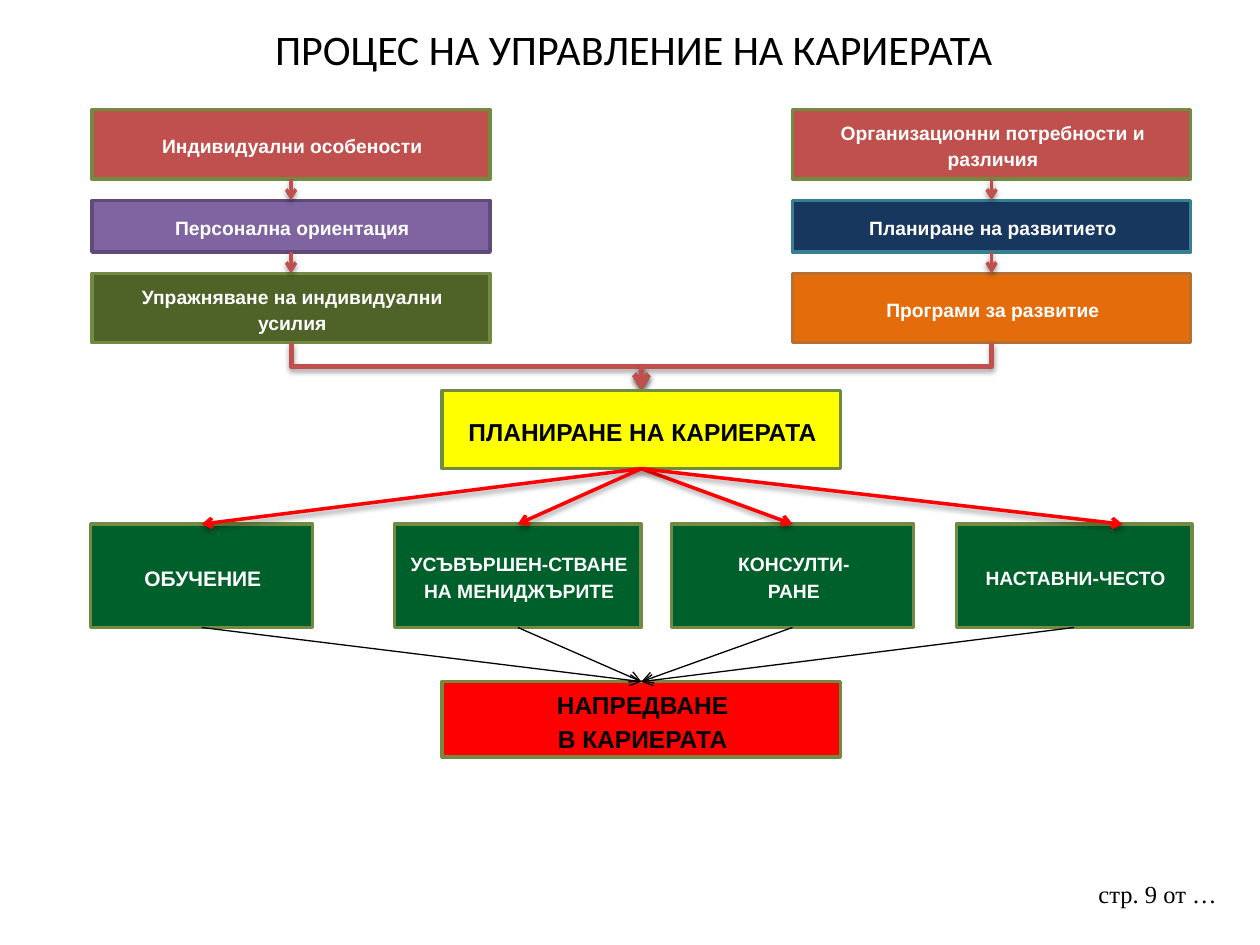
from lxml import etree
from pptx import Presentation
from pptx import util as u
from pptx.dml.color import RGBColor
from pptx.enum import shapes, text
from pptx.oxml import ns

WHITE = RGBColor(0xFF, 0xFF, 0xFF)
BLACK = RGBColor(0x00, 0x00, 0x00)
BRICK = RGBColor(0xC0, 0x50, 0x4D)
PURPLE = RGBColor(0x80, 0x64, 0xA2)
PURPLE_EDGE = RGBColor(0x5F, 0x4A, 0x78)
OLIVE = RGBColor(0x4F, 0x62, 0x28)
OLIVE_EDGE = RGBColor(0x73, 0x8A, 0x42)
NAVY = RGBColor(0x17, 0x37, 0x5E)
TEAL_EDGE = RGBColor(0x37, 0x7F, 0x92)
ORANGE = RGBColor(0xE4, 0x6C, 0x0A)
ORANGE_EDGE = RGBColor(0xB7, 0x6F, 0x34)
GREEN = RGBColor(0x00, 0x60, 0x2B)
YELLOW = RGBColor(0xFF, 0xFF, 0x00)
RED = RGBColor(0xFF, 0x00, 0x00)

TITLE = "ПРОЦЕС НА УПРАВЛЕНИЕ НА КАРИЕРАТА"
PAGE_LABEL = "стр. 9 от …"
INDIVIDUAL = [
    ("Индивидуални особености", BRICK, OLIVE_EDGE),
    ("Персонална ориентация", PURPLE, PURPLE_EDGE),
    ("Упражняване на индивидуални усилия", OLIVE, OLIVE_EDGE),
]
ORGANIZATION = [
    ("Организационни потребности и различия", BRICK, OLIVE_EDGE),
    ("Планиране на развитието", NAVY, TEAL_EDGE),
    ("Програми за развитие", ORANGE, ORANGE_EDGE),
]
PLANNING = "ПЛАНИРАНЕ НА КАРИЕРАТА"
ADVANCEMENT = "НАПРЕДВАНЕ\nВ КАРИЕРАТА"
METHODS = [
    ("ОБУЧЕНИЕ", 0.72, 1.76, 12, 1.60),
    ("УСЪВЪРШЕН-СТВАНЕ НА МЕНИДЖЪРИТЕ", 3.13, 1.96, 11, 4.11),
    ("КОНСУЛТИ-\nРАНЕ", 5.33, 1.92, 11, 6.29),
    ("НАСТАВНИ-ЧЕСТО", 7.59, 1.87, 11, 8.91),
]

COLUMN_LEFT, COLUMN_PITCH, COLUMN_WIDTH = 0.73, 2.78, 3.16
STEP_TOP, STEP_HEIGHTS, STEP_GAP = 0.87, (0.55, 0.41, 0.55), 0.17
PLANNING_TOP, PLANNING_HEIGHT = 3.1, 0.62
METHOD_TOP, METHOD_HEIGHT = 4.16, 0.82
ADVANCEMENT_TOP, ADVANCEMENT_HEIGHT = 5.41, 0.6


def column_left(column):
    return COLUMN_LEFT + column * COLUMN_PITCH


def column_center(column):
    return column_left(column) + COLUMN_WIDTH / 2


def write_text(frame, content, size, font, color, alignment, spacing=None):
    frame.word_wrap = True
    for index, line in enumerate(content.split("\n")):
        paragraph = frame.add_paragraph() if index else frame.paragraphs[0]
        paragraph.alignment = alignment
        paragraph.line_spacing = spacing
        run = paragraph.add_run()
        run.text = line
        run.font.size = u.Pt(size)
        run.font.name = font
        run.font.color.rgb = color
        run.font.bold = font == "Arial"


def add_box(group, content, left, top, width, height, fill, edge, size=11, color=WHITE):
    shape = group.shapes.add_shape(
        shapes.MSO_SHAPE.RECTANGLE, *map(u.Inches, (left, top, width, height)))
    shape.shadow.inherit = False
    shape.fill.solid()
    shape.fill.fore_color.rgb = fill
    shape.line.color.rgb = edge
    shape.line.width = u.Pt(2)
    frame = shape.text_frame
    frame.vertical_anchor = text.MSO_ANCHOR.MIDDLE
    frame.margin_left = u.Inches(0.12)
    write_text(frame, content, size, "Arial", color, text.PP_ALIGN.CENTER, 1.15)


def add_arrow(group, start, end, color, width, shadow=True, bent=False):
    kind = shapes.MSO_CONNECTOR.ELBOW if bent else shapes.MSO_CONNECTOR.STRAIGHT
    connector = group.shapes.add_connector(kind, *map(u.Inches, start + end))
    connector.line.color.rgb = color
    connector.line.width = u.Pt(width)
    if bent:
        across, down = connector.width, connector.height
        connector.left += (across - down) // 2
        connector.top += (down - across) // 2
        connector.width, connector.height = down, across
        rightward = end[0] > start[0]
        transform = connector._element.spPr.find(ns.qn("a:xfrm"))
        transform.set("rot", str((270 if rightward else 90) * 60000))
        transform.set("flipH", str(int(rightward)))
    properties = connector._element.spPr
    tail = etree.SubElement(properties.find(ns.qn("a:ln")), ns.qn("a:tailEnd"))
    tail.set("type", "arrow")
    effects = etree.SubElement(properties, ns.qn("a:effectLst"))
    if shadow:
        outer = etree.SubElement(effects, ns.qn("a:outerShdw"), blurRad="40000",
                                 dist="20000", dir="5400000", rotWithShape="0")
        black = etree.SubElement(outer, ns.qn("a:srgbClr"), val="000000")
        etree.SubElement(black, ns.qn("a:alpha"), val="38000")


def add_steps(group, steps, column):
    top = STEP_TOP
    center = column_center(column)
    for index, ((content, fill, edge), height) in enumerate(zip(steps, STEP_HEIGHTS)):
        add_box(group, content, column_left(column), top, COLUMN_WIDTH, height, fill, edge)
        if index:
            add_arrow(group, (center, top - STEP_GAP), (center, top), BRICK, 2)
        top += height + STEP_GAP
    add_arrow(group, (center, top - STEP_GAP), (column_center(1), PLANNING_TOP),
              BRICK, 3, bent=True)


def main():
    presentation = Presentation()
    presentation.slide_width, presentation.slide_height = u.Inches(10), u.Inches(7.5)
    slide = presentation.slides.add_slide(presentation.slide_layouts[5])

    title = slide.shapes.title
    title.left, title.top, title.width, title.height = map(u.Inches, (0.53, 0.13, 9, 0.52))
    title.text_frame.vertical_anchor = text.MSO_ANCHOR.MIDDLE
    write_text(title.text_frame, TITLE, 24, "Calibri", BLACK, text.PP_ALIGN.CENTER)

    page = slide.shapes.add_textbox(*map(u.Inches, (8.62, 6.93, 1.3, 0.52)))
    write_text(page.text_frame, PAGE_LABEL, 14, "Times New Roman", BLACK, text.PP_ALIGN.LEFT)

    group = slide.shapes.add_group_shape()
    add_steps(group, INDIVIDUAL, 0)
    add_steps(group, ORGANIZATION, 2)
    add_box(group, PLANNING, column_left(1), PLANNING_TOP, COLUMN_WIDTH, PLANNING_HEIGHT,
            YELLOW, OLIVE_EDGE, 14, BLACK)
    add_box(group, ADVANCEMENT, column_left(1), ADVANCEMENT_TOP, COLUMN_WIDTH,
            ADVANCEMENT_HEIGHT, RED, OLIVE_EDGE, 14, BLACK)

    planning_bottom = (column_center(1), PLANNING_TOP + PLANNING_HEIGHT)
    advancement_top = (column_center(1), ADVANCEMENT_TOP)
    for content, left, width, size, entry in METHODS:
        add_box(group, content, left, METHOD_TOP, width, METHOD_HEIGHT,
                GREEN, OLIVE_EDGE, size)
        add_arrow(group, planning_bottom, (entry, METHOD_TOP), RED, 2)
        add_arrow(group, (left + width / 2, METHOD_TOP + METHOD_HEIGHT), advancement_top,
                  BLACK, 0.75, shadow=False)

    presentation.save("out.pptx")


if __name__ == "__main__":
    main()
